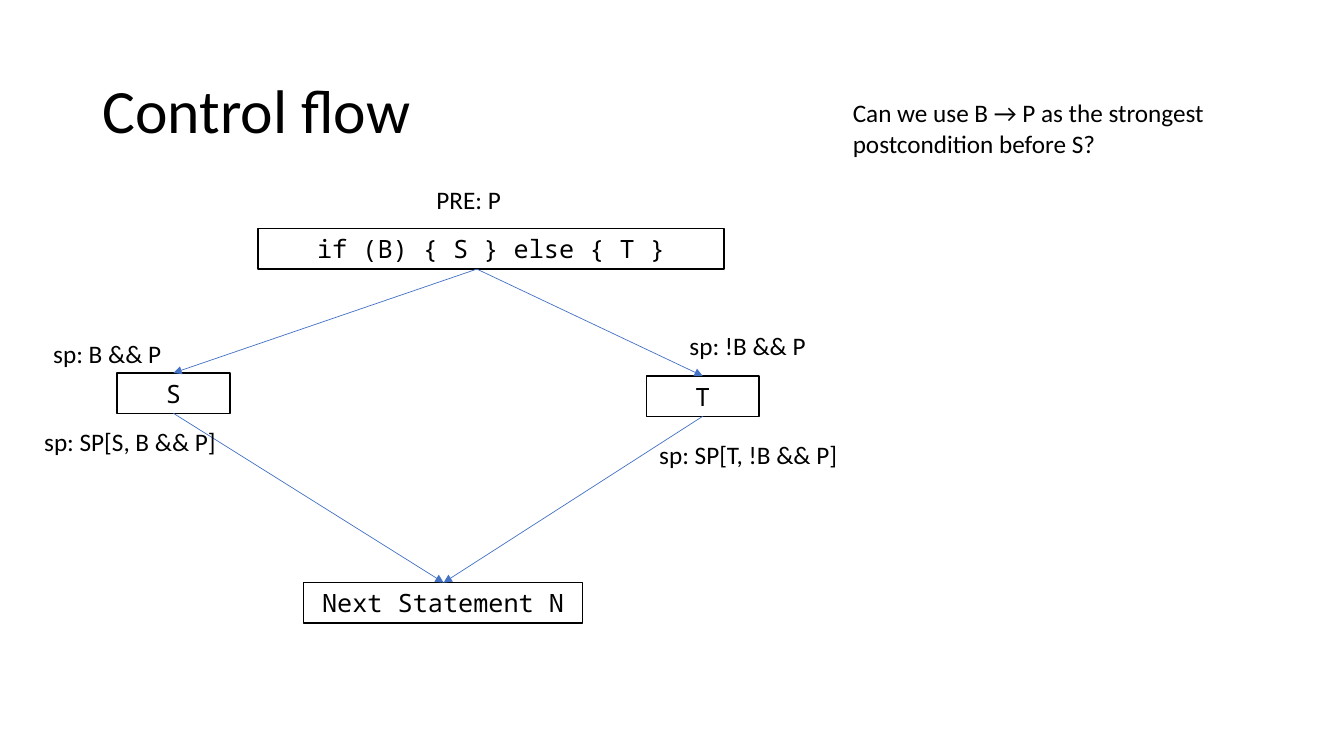
from dataclasses import dataclass

from lxml import etree
from pptx import Presentation
from pptx.dml.color import RGBColor
from pptx.enum.shapes import MSO_CONNECTOR, MSO_SHAPE
from pptx.enum.text import MSO_ANCHOR, PP_ALIGN
from pptx.oxml.ns import qn
from pptx.util import Inches, Pt

RECTANGLE = MSO_SHAPE.RECTANGLE
STRAIGHT = MSO_CONNECTOR.STRAIGHT
LEFT, CENTER = PP_ALIGN.LEFT, PP_ALIGN.CENTER
TOP, MIDDLE = MSO_ANCHOR.TOP, MSO_ANCHOR.MIDDLE
ROW_HEIGHT = 0.4


@dataclass(frozen=True)
class Theme:
    ink: RGBColor = RGBColor(0x00, 0x00, 0x00)
    arrow: RGBColor = RGBColor(0x44, 0x72, 0xC4)
    text_font: str = "Calibri"
    code_font: str = "Noto Sans Mono"
    title_size: int = 44
    body_size: int = 18
    box_line: float = 1
    arrow_line: float = 0.5


class FlowSlide:
    """Holds the theme and the slide being drawn."""

    def __init__(self, slide, theme):
        self.shapes = slide.shapes
        self.theme = theme

    def set_text(self, shape, text, font_name, size, align=LEFT, anchor=TOP, spacing=1.0):
        frame = shape.text_frame
        paragraph = frame.paragraphs[0]
        paragraph.text = text
        for target, values in (
            (frame, {"word_wrap": True, "vertical_anchor": anchor}),
            (paragraph, {"alignment": align, "line_spacing": spacing}),
            (paragraph.font, {"name": font_name, "size": Pt(size)}),
            (paragraph.font.color, {"rgb": self.theme.ink}),
        ):
            for name, value in values.items():
                setattr(target, name, value)

    def label(self, text, left, top, width, height=ROW_HEIGHT, size=None, **layout):
        shape = self.shapes.add_textbox(*map(Inches, (left, top, width, height)))
        self.set_text(shape, text, self.theme.text_font, size or self.theme.body_size, **layout)

    def statement(self, code, left, top, width):
        shape = self.shapes.add_shape(
            RECTANGLE, *map(Inches, (left, top, width, ROW_HEIGHT)))
        shape.shadow.inherit = False
        shape.fill.background()
        shape.line.color.rgb = self.theme.ink
        shape.line.width = Pt(self.theme.box_line)
        self.set_text(shape, code, self.theme.code_font, self.theme.body_size, align=CENTER)

    def arrow(self, start, end):
        connector = self.shapes.add_connector(STRAIGHT, *map(Inches, (*start, *end)))
        connector.line.color.rgb = self.theme.arrow
        connector.line.width = Pt(self.theme.arrow_line)
        properties = connector._element.spPr
        etree.SubElement(properties.find(qn("a:ln")), qn("a:tailEnd"), type="triangle")
        etree.SubElement(properties, qn("a:effectLst"))


def main():
    presentation = Presentation()
    presentation.slide_width = Inches(13.33)
    presentation.slide_height = Inches(7.5)
    theme = Theme()
    flow = FlowSlide(presentation.slides.add_slide(presentation.slide_layouts[6]), theme)

    # Title
    flow.label("Control flow", 0.92, 0.4, 11.5, 1.45, theme.title_size,
               anchor=MIDDLE, spacing=0.9)

    # Statements
    for code, left, top, width in (
        ("if (B) { S } else { T }", 2.56, 2.27, 4.62),
        ("S", 1.16, 3.7, 1.12),
        ("T", 6.41, 3.73, 1.12),
        ("Next Statement N", 3.01, 5.78, 2.77),
    ):
        flow.statement(code, left, top, width)

    # Each branch leaves the condition and joins again at the next statement
    condition, following = (4.73, 2.67), (4.4, 5.78)
    for middle, top in ((1.72, 3.7), (6.97, 3.73)):
        flow.arrow(condition, (middle, top))
        flow.arrow((middle, top + ROW_HEIGHT), following)

    # Conditions and question
    for text, left, top, width in (
        ("PRE: P", 4.23, 1.78, 3.42),
        ("sp: B && P", 0.43, 3.31, 2.46),
        ("sp: !B && P", 6.74, 3.23, 2.46),
        ("sp: SP[S, B && P]", 0.34, 4.18, 2.46),
        ("sp: SP[T, !B && P]", 6.44, 4.31, 2.46),
    ):
        flow.label(text, left, top, width)
    flow.label("Can we use B → P as the strongest postcondition before S?",
               8.36, 0.92, 4.64, 1.01)

    presentation.save("out.pptx")


if __name__ == "__main__":
    main()
